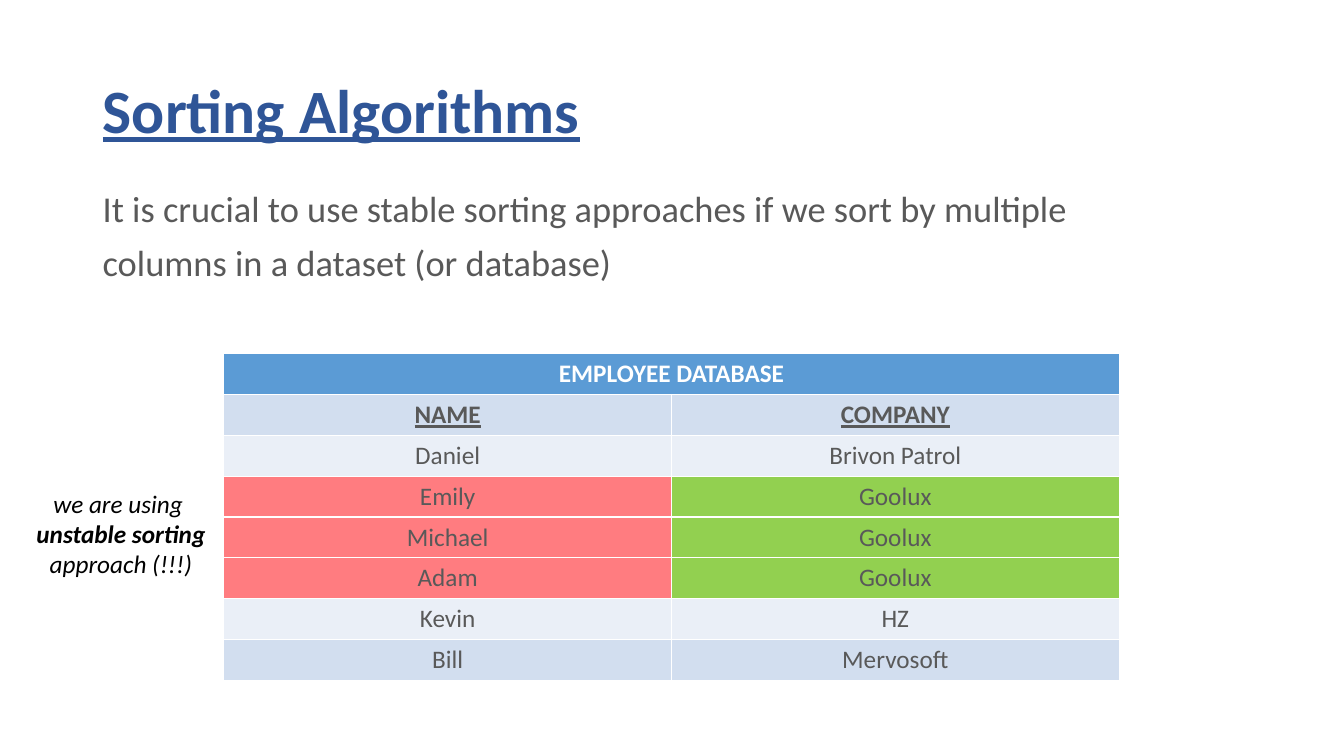
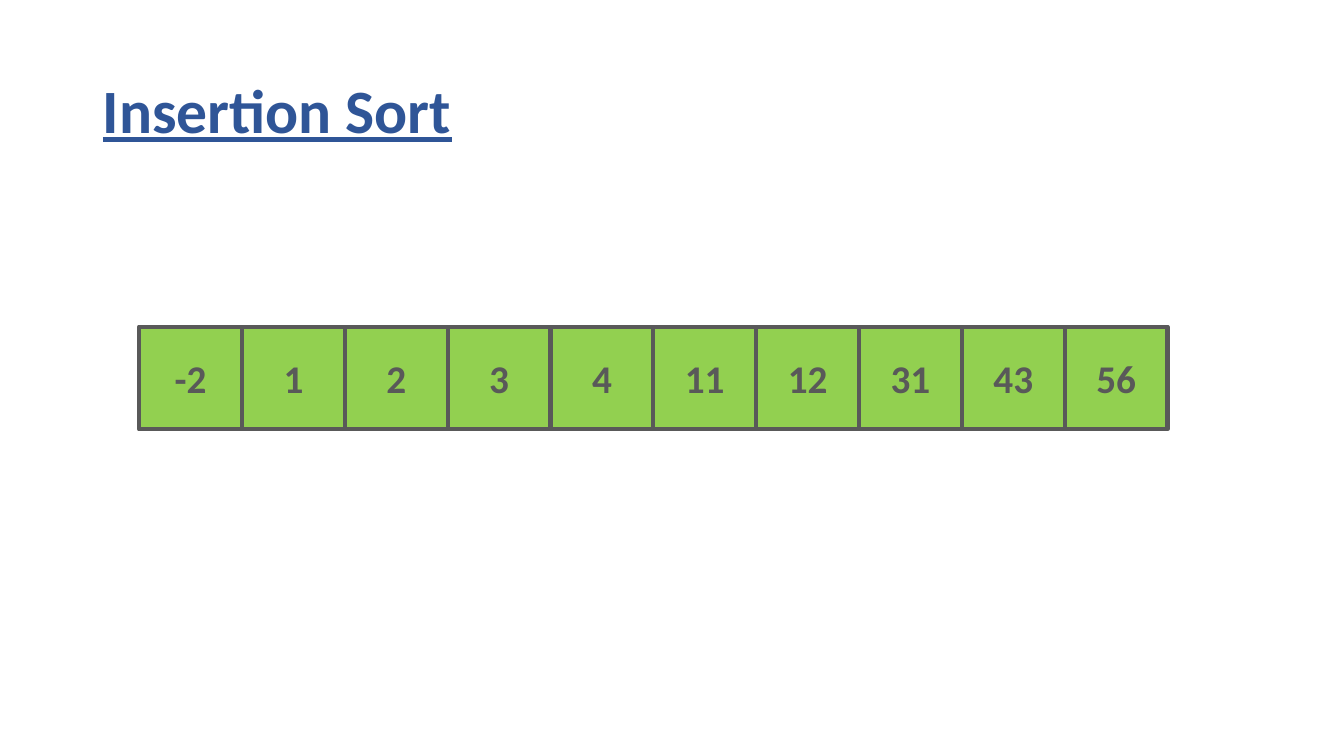
from pptx import Presentation
from pptx.dml.color import RGBColor
from pptx.enum.shapes import MSO_SHAPE
from pptx.enum.text import MSO_ANCHOR, MSO_AUTO_SIZE, PP_ALIGN
from pptx.util import Inches, Pt

FONT = "Calibri"
TITLE_BLUE = RGBColor(0x2F, 0x55, 0x97)
GRAY = RGBColor(0x59, 0x59, 0x59)
BLACK = RGBColor(0x00, 0x00, 0x00)
WHITE = RGBColor(0xFF, 0xFF, 0xFF)
HEADER_BLUE = RGBColor(0x5B, 0x9B, 0xD5)
BAND_DARK = RGBColor(0xD2, 0xDE, 0xEF)
BAND_LIGHT = RGBColor(0xEA, 0xEF, 0xF7)
RED = RGBColor(0xFF, 0x7C, 0x80)
GREEN = RGBColor(0x92, 0xD0, 0x50)


def add_run(paragraph, text, size, color, bold=False, italic=False, underline=False):
    run = paragraph.add_run()
    run.text = text
    run.font.name = FONT
    run.font.size = Pt(size)
    run.font.color.rgb = color
    run.font.bold = bold
    run.font.italic = italic
    run.font.underline = underline


def add_titled_slide(presentation, text):
    slide = presentation.slides.add_slide(presentation.slide_layouts[5])
    title = slide.shapes.title
    title.left, title.top = Inches(0.92), Inches(0.4)
    title.width, title.height = Inches(11.5), Inches(1.45)
    title.text_frame.vertical_anchor = MSO_ANCHOR.MIDDLE
    paragraph = title.text_frame.paragraphs[0]
    paragraph.alignment = PP_ALIGN.LEFT
    paragraph.line_spacing = 0.9
    add_run(paragraph, text, 44, TITLE_BLUE, bold=True, underline=True)
    return slide


presentation = Presentation()
presentation.slide_width = Inches(13.33)
presentation.slide_height = Inches(7.5)

slide = add_titled_slide(presentation, "Sorting Algorithms")

body = slide.shapes.add_textbox(Inches(0.92), Inches(1.85), Inches(11.5), Inches(1.25))
body.text_frame.word_wrap = True
body_lines = [
    "It is crucial to use stable sorting approaches if we sort by multiple",
    "columns in a dataset (or database)",
]
for index, line in enumerate(body_lines):
    paragraph = body.text_frame.add_paragraph() if index else body.text_frame.paragraphs[0]
    paragraph.line_spacing = 0.9
    paragraph.space_before = Pt(10)
    add_run(paragraph, line, 26, GRAY)

employees = [
    ("EMPLOYEE DATABASE", ""),
    ("NAME", "COMPANY"),
    ("Daniel", "Brivon Patrol"),
    ("Emily", "Goolux"),
    ("Michael", "Goolux"),
    ("Adam", "Goolux"),
    ("Kevin", "HZ"),
    ("Bill", "Mervosoft"),
]
table = slide.shapes.add_table(
    len(employees), 2, Inches(2.22), Inches(3.51), Inches(8.88), Inches(3.24)
).table
table.cell(0, 0).merge(table.cell(0, 1))
for row, values in enumerate(employees):
    for column, value in enumerate(values):
        cell = table.cell(row, column)
        cell.fill.solid()
        if row == 0:
            cell.fill.fore_color.rgb = HEADER_BLUE
        elif values[1] == "Goolux":
            cell.fill.fore_color.rgb = (RED, GREEN)[column]
        else:
            cell.fill.fore_color.rgb = BAND_DARK if row % 2 else BAND_LIGHT
        if value:
            paragraph = cell.text_frame.paragraphs[0]
            paragraph.alignment = PP_ALIGN.CENTER
            color = GRAY if row else WHITE
            add_run(paragraph, value, 18, color, bold=row < 2, underline=row == 1)

note = slide.shapes.add_textbox(Inches(0.25), Inches(4.79), Inches(1.9), Inches(1.01))
note.text_frame.word_wrap = False
note.text_frame.auto_size = MSO_AUTO_SIZE.SHAPE_TO_FIT_TEXT
note_lines = [("we are using ", False), ("unstable sorting", True), ("approach (!!!)", False)]
for index, (line, bold) in enumerate(note_lines):
    paragraph = note.text_frame.add_paragraph() if index else note.text_frame.paragraphs[0]
    paragraph.alignment = PP_ALIGN.CENTER
    add_run(paragraph, line, 18, BLACK, bold=bold, italic=True)

slide = add_titled_slide(presentation, "Insertion Sort")

BOX_SIZE = 1.02
for index, number in enumerate([-2, 1, 2, 3, 4, 11, 12, 31, 43, 56]):
    box = slide.shapes.add_shape(
        MSO_SHAPE.RECTANGLE,
        Inches(1.38 + index * BOX_SIZE), Inches(3.24), Inches(BOX_SIZE), Inches(BOX_SIZE),
    )
    box.shadow.inherit = False
    box.fill.solid()
    box.fill.fore_color.rgb = GREEN
    box.line.color.rgb = GRAY
    box.line.width = Pt(3)
    box.text_frame.vertical_anchor = MSO_ANCHOR.MIDDLE
    paragraph = box.text_frame.paragraphs[0]
    paragraph.alignment = PP_ALIGN.CENTER
    add_run(paragraph, str(number), 28, GRAY, bold=True)

presentation.save("out.pptx")
